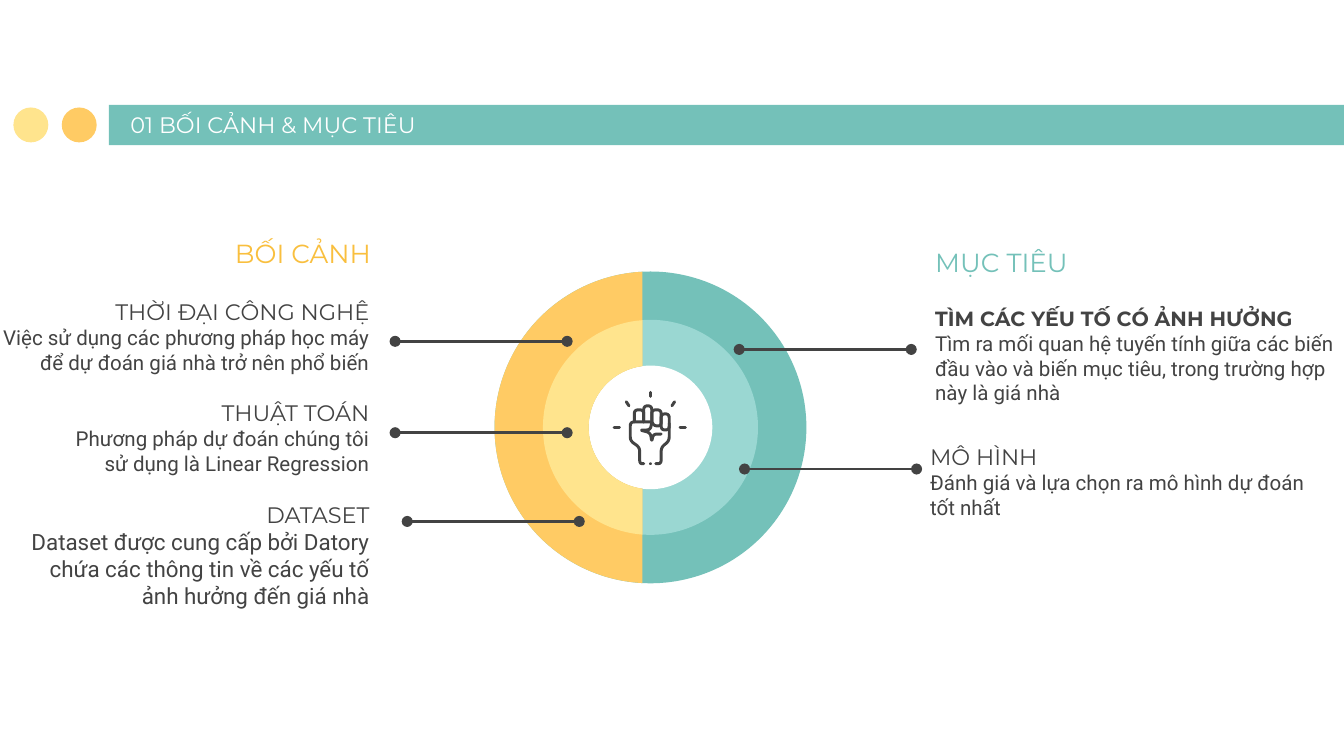
from math import acos, cos, pi, sin

from lxml.etree import SubElement
from pptx import Presentation
from pptx.dml.color import RGBColor
from pptx.enum.shapes import MSO_CONNECTOR, MSO_SHAPE
from pptx.enum.text import MSO_ANCHOR, MSO_AUTO_SIZE, PP_ALIGN
from pptx.oxml.ns import qn
from pptx.util import Inches, Pt

COLORS = {"teal": "74C1B9", "mint": "9AD7D2", "orange": "FFCB64", "yellow": "FFE48D",
          "gold": "F9BF3E", "dark": "434343", "white": "FFFFFF"}
LEFT, RIGHT = PP_ALIGN.LEFT, PP_ALIGN.RIGHT

TITLE = "01 BỐI CẢNH & MỤC TIÊU"
# text, position (left, top, width, height), alignment, color
HEADINGS = [
    ("BỐI CẢNH", (0.99, 1.67, 1.87, 0.26), RIGHT, "gold"),
    ("MỤC TIÊU", (6.86, 1.73, 1.87, 0.26), LEFT, "teal"),
]
# heading, heading size, bold, body, body size, position, alignment, margins
TOPICS = [
    ("THỜI ĐẠI CÔNG NGHỆ", 12, False,
     "Việc sử dụng các phương pháp học máy để dự đoán giá nhà trở nên phổ biến", 11,
     (0, 2.21, 2.75, 0.54), RIGHT, (0, 0.01)),
    ("THUẬT TOÁN", 12, False,
     "Phương pháp dự đoán chúng tôi sử dụng là Linear Regression", 11,
     (0.42, 2.96, 2.33, 0.54), RIGHT, (0, 0.01)),
    ("DATASET", 12, False,
     "Dataset được cung cấp bởi Datory chứa các thông tin về các yếu tố ảnh hưởng đến giá nhà", 12,
     (0.16, 3.72, 2.59, 0.87), RIGHT, (0, 0.01)),
    ("TÌM CÁC YẾU TỐ CÓ ẢNH HƯỞNG", 11, True,
     "Tìm ra mối quan hệ tuyến tính giữa các biến đầu vào và biến mục tiêu, "
     "trong trường hợp này là giá nhà", 11,
     (6.86, 2.23, 3.26, 0.84), LEFT, (0.1, 0.05)),
    ("MÔ HÌNH", 12, False,
     "Đánh giá và lựa chọn ra mô hình dự đoán tốt nhất", 11,
     (6.92, 3.29, 2.85, 0.54), LEFT, (0, 0.01)),
]
# left end and height of each pointer
POINTERS = [(2.94, 2.54), (2.94, 3.22), (5.5, 2.6), (5.54, 3.49), (3.03, 3.88)]
POINTER_LENGTH = 1.28

CENTER_X, CENTER_Y, SPLIT_X = 4.84, 3.18, 4.78
HOLE_RADIUS = 0.46
RINGS = [(1.16, "teal", "orange"), (0.8, "mint", "yellow")]  # radius, right, left

FIST = [
    [(4.72, 3.14), (4.72, 3.05), (4.79, 3.05), (4.79, 3.14)],
    [(4.79, 3.14), (4.79, 3.02), (4.85, 3.02), (4.85, 3.14)],
    [(4.85, 3.14), (4.85, 3.05), (4.92, 3.05), (4.92, 3.17), (4.87, 3.17), (4.85, 3.14)],
    [(4.92, 3.14), (4.92, 3.08), (4.98, 3.08), (4.98, 3.2), (4.92, 3.2), (4.92, 3.14)],
    [(4.84, 3.14), (4.69, 3.14), (4.69, 3.28), (4.76, 3.33), (4.76, 3.45), (4.79, 3.45)],
    [(4.98, 3.15), (4.98, 3.28), (4.92, 3.33), (4.92, 3.45), (4.88, 3.45)],
    [(4.85, 3.14), (4.84, 3.2), (4.76, 3.2), (4.84, 3.22), (4.85, 3.29),
     (4.86, 3.23), (4.92, 3.23)],
]
RAYS = [
    [(4.84, 2.92), (4.84, 2.95)], [(5.06, 3.18), (5.1, 3.18)], [(4.57, 3.18), (4.61, 3.18)],
    [(5.02, 2.99), (5, 3.02)], [(4.66, 2.99), (4.68, 3.02)],
]


def rgb(name):
    return RGBColor.from_string(COLORS[name])


def paint(shape, color):
    shape.shadow.inherit = False
    shape.fill.solid()
    shape.fill.fore_color.rgb = rgb(color)
    shape.line.fill.background()


def add_filled(page, kind, position, color):
    paint(page.shapes.add_shape(kind, *map(Inches, position)), color)


def add_circle(page, x, y, radius, color):
    add_filled(page, MSO_SHAPE.OVAL, (x - radius, y - radius, 2 * radius, 2 * radius), color)


def add_outline(page, contours, close):
    scaled = [[(Inches(x), Inches(y)) for x, y in points] for points in contours]
    builder = page.shapes.build_freeform(*scaled[0][0])
    for number, points in enumerate(scaled):
        if number:
            builder.move_to(*points[0])
        builder.add_line_segments(points[1:], close=close)
    return builder.convert_to_shape()


def left_arc(radius, steps=60):
    """Points of the arc left of the split, from top to bottom."""
    start = acos((SPLIT_X - CENTER_X) / radius)
    sweep = 2 * (pi - start)
    angles = [start + sweep * step / steps for step in range(steps + 1)]
    return [(CENTER_X + radius * cos(a), CENTER_Y - radius * sin(a)) for a in angles]


def round_corners(points, radius=0.03, steps=6):
    """Replace each inner corner with a short quadratic curve."""
    def toward(a, b):
        length = ((b[0] - a[0]) ** 2 + (b[1] - a[1]) ** 2) ** 0.5
        share = min(radius / length, 0.5)
        return a[0] + (b[0] - a[0]) * share, a[1] + (b[1] - a[1]) * share

    result = [points[0]]
    for before, corner, after in zip(points, points[1:], points[2:]):
        start, end = toward(corner, before), toward(corner, after)
        for step in range(steps + 1):
            t = step / steps
            result.append(tuple((1 - t) ** 2 * s + 2 * t * (1 - t) * c + t * t * e
                                for s, c, e in zip(start, corner, end)))
    return result + [points[-1]]


def format_frame(frame, margins, anchor=MSO_ANCHOR.TOP):
    side, top, bottom = margins
    values = {"word_wrap": True, "auto_size": MSO_AUTO_SIZE.NONE, "vertical_anchor": anchor,
              "margin_left": Inches(side), "margin_right": Inches(side),
              "margin_top": Inches(top), "margin_bottom": Inches(bottom)}
    for name, value in values.items():
        setattr(frame, name, value)


def write(para, text, align, font, size, color, bold=False):
    para.alignment = align
    span = para.add_run()
    span.text = text
    for name, value in {"name": font, "size": Pt(size), "bold": bold}.items():
        setattr(span.font, name, value)
    span.font.color.rgb = rgb(color)


def add_pointer(page, x, y):
    line = page.shapes.add_connector(MSO_CONNECTOR.STRAIGHT, Inches(x), Inches(y),
                                     Inches(x + POINTER_LENGTH), Inches(y))
    line.line.color.rgb = rgb("dark")
    line.line.width = Pt(1.5)
    for end in ("a:headEnd", "a:tailEnd"):
        SubElement(line.line._get_or_add_ln(), qn(end), type="oval")
    SubElement(line._element.spPr, qn("a:effectLst"))


deck = Presentation()
deck.slide_width = Inches(10)
deck.slide_height = deck.slide_width * 9 // 16  # widescreen
page = deck.slides.add_slide(deck.slide_layouts[5])

# Title band
add_filled(page, MSO_SHAPE.RECTANGLE, (0.81, 0.78, 9.19, 0.3), "teal")
for x, color in [(0.59, "orange"), (0.23, "yellow")]:
    add_circle(page, x, 0.93, 0.13, color)
title = page.shapes.title
title.left, title.top, title.width, title.height = map(Inches, (0.87, 0.79, 5.48, 0.34))
format_frame(title.text_frame, (0.1, 0.1, 0.1), MSO_ANCHOR.BOTTOM)
write(title.text_frame.paragraphs[0], TITLE, LEFT, "Montserrat", 12, "white")
page.shapes._spTree.append(title._element)  # bring the title above the band

# Two-tone rings
for radius, right_color, _ in RINGS:
    add_circle(page, CENTER_X, CENTER_Y, radius, right_color)
add_circle(page, CENTER_X, CENTER_Y, HOLE_RADIUS, "white")
for radius, _, left_color in RINGS:
    half = left_arc(radius) + left_arc(HOLE_RADIUS)[::-1]
    paint(add_outline(page, [half], close=True), left_color)

# Fist icon
icon = add_outline(page, [round_corners(points) for points in FIST] + RAYS, close=False)
icon.shadow.inherit = False
icon.fill.background()
icon.line.color.rgb = rgb("dark")
icon.line.width = Pt(1.6)
icon.line._get_or_add_ln().set("cap", "rnd")
add_circle(page, CENTER_X, 3.45, 0.01, "dark")

# Pointers
for x, y in POINTERS:
    add_pointer(page, x, y)

# Headings and topics
for text, position, align, color in HEADINGS:
    frame = page.shapes.add_textbox(*map(Inches, position)).text_frame
    format_frame(frame, (0.1, 0.1, 0.1))
    write(frame.paragraphs[0], text, align, "Montserrat", 14, color)
for heading, heading_size, bold, body, body_size, position, align, (side, top) in TOPICS:
    frame = page.shapes.add_textbox(*map(Inches, position)).text_frame
    format_frame(frame, (side, top, 0))
    write(frame.paragraphs[0], heading, align, "Montserrat", heading_size, "dark", bold)
    write(frame.add_paragraph(), body, align, "Roboto", body_size, "dark")

deck.save("out.pptx")
